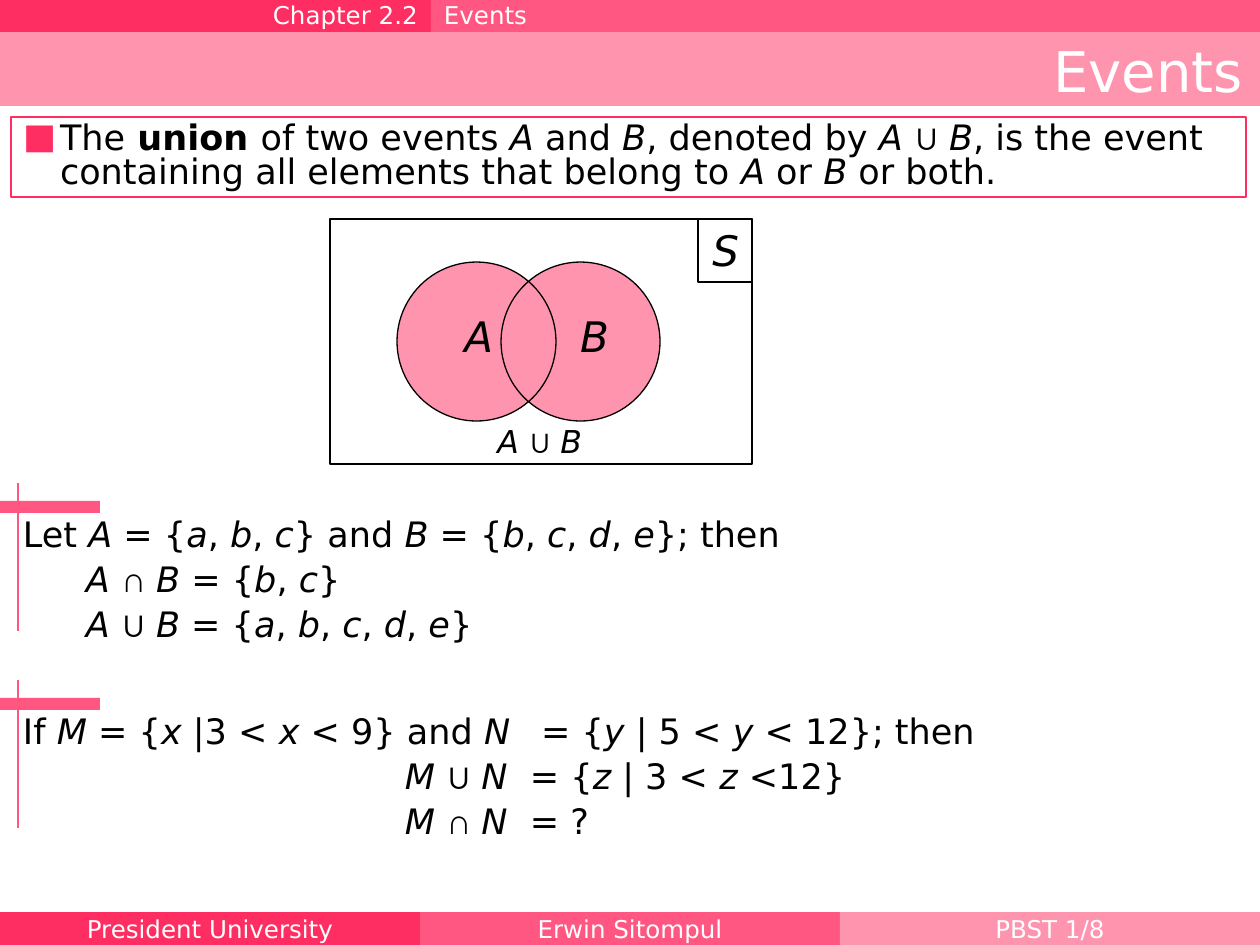
"""Build the slide on the union of two events."""
from lxml import etree
from pptx import Presentation, util as u
from pptx.dml.color import RGBColor
from pptx.enum import shapes as es, text as et
from pptx.oxml.ns import qn

SCALE = 914400 / 126
INK = {"dark": "FF2E62", "mid": "FF5781", "light": "FF94AF", "white": "FFFFFF", "black": "000000"}
KIND = es.MSO_SHAPE
ALIGN = et.PP_ALIGN


def px(*nums):
    """Turn px lengths into a list of EMU lengths."""
    return [u.Emu(round(n * SCALE)) for n in nums]


def shade(name):
    """Return the named colour."""
    return RGBColor.from_string(INK[name])


def sub(node, tag, **attrs):
    """Append a drawing child with attributes to a node."""
    return etree.SubElement(node, qn("a:" + tag), attrs)


def write(shape, words, size=20, color="black", align=ALIGN.LEFT, anchor=et.MSO_ANCHOR.TOP,
          wrap=True, foot=6, tight=False, bullet=False, tabs=()):
    """Write lines in which * toggles italic and ^ toggles bold."""
    frame = shape.text_frame
    frame.word_wrap, frame.vertical_anchor = wrap, anchor
    frame.auto_size = et.MSO_AUTO_SIZE.NONE
    frame.margin_left, frame.margin_top, frame.margin_right, frame.margin_bottom = px(13, 6, 13, foot)
    for row, line in enumerate(words.split("\n")):
        para = frame.add_paragraph() if row else frame.paragraphs[0]
        para.alignment = align
        if tight:
            para.line_spacing, para.space_before = 0.8, u.Pt(6.5)
        props = para._p.get_or_add_pPr()
        if bullet:
            step = px(37)[0]
            props.set("marL", str(step))
            props.set("indent", str(-step))
            sub(sub(props, "buClr"), "srgbClr", val=INK["dark"])
            sub(props, "buFont", typeface="DejaVu Sans")
            sub(props, "buChar", char="■")
        if tabs:
            stops = sub(props, "tabLst")
            for stop in px(*tabs):
                sub(stops, "tab", pos=str(stop), algn="l")
        for i, part in enumerate(line.split("*")):
            for j, bit in enumerate(part.split("^")):
                if bit:
                    run = para.add_run()
                    run.text = bit
                    font = run.font
                    font.name = "Arial" if set(bit) & set("∪∩") else "DejaVu Sans"
                    font.size, font.color.rgb = u.Pt(size), shade(color)
                    font.italic, font.bold = i % 2 == 1, j % 2 == 1


def draw(host, kind, box, fill=None, line=None, width=0.75):
    """Add a preset shape with an optional fill and outline."""
    shape = host.add_shape(kind, *px(*box))
    shape.shadow.inherit = False
    if fill:
        shape.fill.solid()
        shape.fill.fore_color.rgb = shade(fill)
    else:
        shape.fill.background()
    if line:
        shape.line.color.rgb, shape.line.width = shade(line), u.Pt(width)
    else:
        shape.line.fill.background()
    return shape


def label(host, box, words, **style):
    """Add a text box."""
    write(host.add_textbox(*px(*box)), words, **style)


def place(shape, box):
    """Move a placeholder to a box, in front of what is there."""
    shape.left, shape.top, shape.width, shape.height = px(*box)
    shape.element.getparent().append(shape.element)


def header(slide, box):
    """Draw the chapter bar and the title band."""
    x, y, w, h = box
    bar, cut = 32, 431
    draw(slide.shapes, KIND.RECTANGLE, (x, y + bar, w, h - bar), "light")
    place(slide.shapes.title, (x, y + 39, w - 4, 62))
    write(slide.shapes.title, "Events", size=32, color="white", align=ALIGN.RIGHT,
          anchor=et.MSO_ANCHOR.MIDDLE)
    for left, wide, fill, words, align in ((x, cut, "dark", "Chapter 2.2", ALIGN.RIGHT),
                                           (x + cut, w - cut, "mid", "Events", ALIGN.LEFT)):
        draw(slide.shapes, KIND.RECTANGLE, (left, y, wide, bar), fill)
        label(slide.shapes, (left, y + 1, wide, bar), words, size=14, color="white",
              align=align, anchor=et.MSO_ANCHOR.MIDDLE, foot=11)


def footer(slide, box):
    """Draw three equal bars with their captions."""
    x, y, w, h = box
    parts = (("dark", "President University"), ("mid", "Erwin Sitompul"), ("light", "PBST 1/8"))
    wide = w // len(parts)
    for i, (fill, words) in enumerate(parts):
        bar = draw(slide.shapes, KIND.RECTANGLE, (x + i * wide, y, wide, h), fill)
        write(bar, words, size=14, color="white", align=ALIGN.CENTER, anchor=et.MSO_ANCHOR.MIDDLE)


def define(slide, box):
    """Place the framed definition."""
    x, y, w, h = box
    body = slide.placeholders[1]
    place(body, (x - 1, y + 1, 1250, 84))
    write(body, "The^ union ^of two events *A* and *B*, denoted by *A *^∪ ^*B*, is the event "
          "containing all elements that belong to *A *or *B *or both.", tight=True, bullet=True)
    draw(slide.shapes, KIND.RECTANGLE, box, line="dark", width=1.5)


def venn(slide, box):
    """Draw the sample space with two crossing circles."""
    x, y, w, h = box
    host = slide.shapes.add_group_shape().shapes
    size, top = 159, y + 43
    left, right = ((x + dx, top, size, size) for dx in (67, 171))
    mark = dict(size=24, align=ALIGN.RIGHT, wrap=False)
    draw(host, KIND.RECTANGLE, box, "white", "black")
    draw(host, KIND.OVAL, right, "light", "black")
    write(draw(host, KIND.RECTANGLE, (x + w - 54, y, 54, 63), "white", "black"), "*S*", **mark)
    label(host, (x + 238, y + 86, 54, 63), "*B*", **mark)
    label(host, (x + 153, y + 197, 112, 50), "*A *∪ *B*", **{**mark, "size": 18})
    draw(host, KIND.OVAL, left, "light", "black")
    label(host, (x + 122, y + 86, 54, 63), "*A*", **mark)
    arc = draw(host, KIND.ARC, right, line="black")
    arc.adjustments[0], arc.adjustments[1] = 78.2, 137.28


def sample(slide, box, words, tabs=()):
    """Place a worked example under its rule and bar."""
    x, y, w, h = box
    label(slide.shapes, (x + 10, y + 32, w - 10, h), words, tight=True, tabs=tabs)
    host = slide.shapes.add_group_shape().shapes
    draw(host, KIND.RECTANGLE, (x, y + 18, 100, 12), "mid")
    rule = host.add_connector(es.MSO_CONNECTOR.STRAIGHT, *px(x + 18, y, x + 18, y + h))
    rule.line.color.rgb, rule.line.width = shade("mid"), u.Pt(1)
    sub(rule.element.spPr, "effectLst")


def main():
    """Build and save the slide."""
    deck = Presentation()
    deck.slide_width, deck.slide_height = px(1260, 945)
    slide = deck.slides.add_slide(deck.slide_layouts[1])
    header(slide, (0, 0, 1260, 106))
    footer(slide, (0, 912, 1260, 33))
    define(slide, (11, 117, 1235, 80))
    venn(slide, (330, 219, 422, 245))
    sample(slide, (0, 483, 1260, 148),
           "Let *A* = {*a*, *b*, *c*} and *B* = {*b*, *c*, *d*, *e*}; then\n"
           "\t*A *^∩ ^*B* = {*b*, *c*}\n"
           "\t*A *^∪ ^*B* = {*a*, *b*, *c*, *d*, *e*}")
    sample(slide, (0, 680, 1260, 148),
           "If *M* = {*x *|3 < *x* < 9} and *N\t *= {*y *| 5 < *y* < 12}; then\n"
           "\t*M *^∪ ^*N* \t= {*z *| 3 < *z* <12}\n"
           "\t*M *^∩ ^*N* \t= ?", tabs=(382, 507))
    deck.save("out.pptx")


if __name__ == "__main__":
    main()
